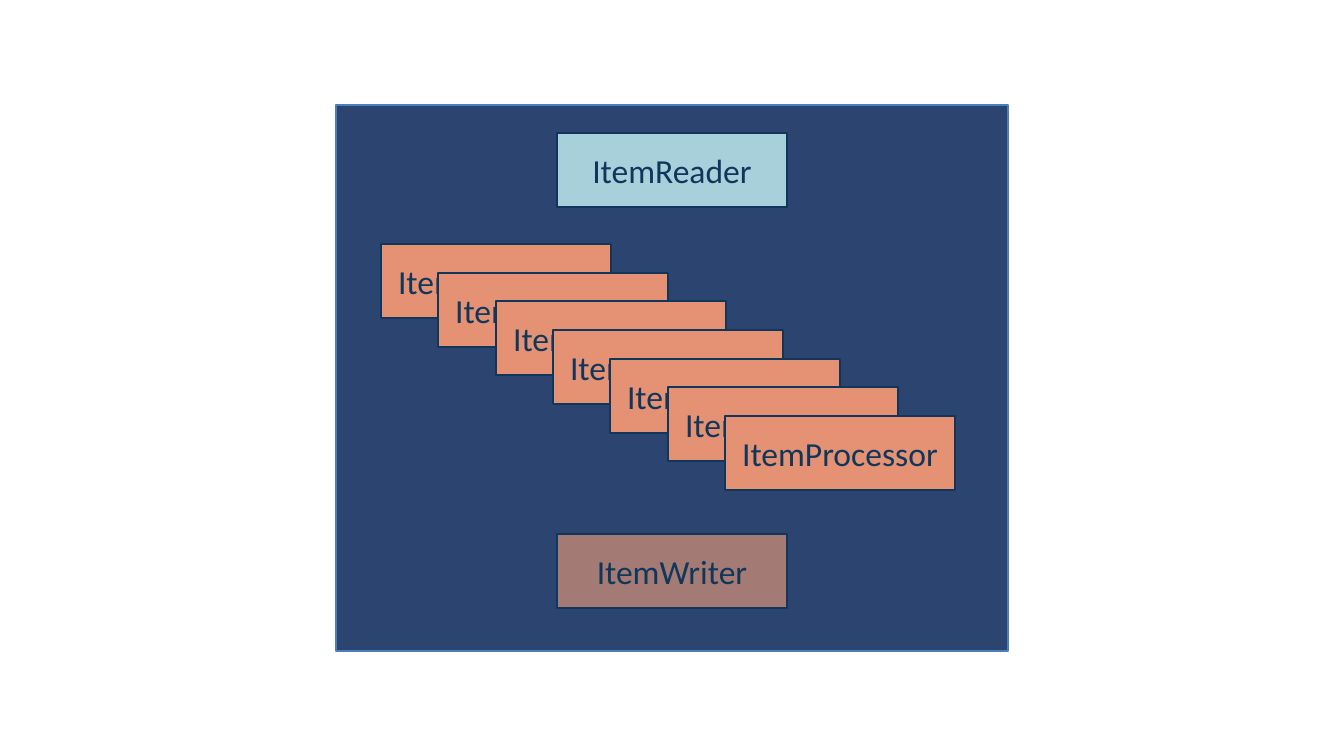
import dataclasses

import pptx
import pptx.dml.color
import pptx.enum.shapes
import pptx.enum.text
import pptx.util

SCALE = 914400 / 134.4
BOX_W, BOX_H = 230, 74
STEPS = 6


@dataclasses.dataclass(frozen=True)
class Theme:
    """Colours, font and sizes of the slide."""

    panel: str = "2B4570"
    edge: str = "4B7EBC"
    reader: str = "A8D0DB"
    worker: str = "E49273"
    writer: str = "A37A74"
    ink: str = "10375B"
    font: str = "Calibri"
    size: int = 18
    line: float = 0.75


THEME = Theme()


def px(count):
    """Turn whole px into EMU."""
    return pptx.util.Emu(round(count * SCALE))


def color(code):
    """Turn a hex code into a colour."""
    return pptx.dml.color.RGBColor.from_string(code)


def add_rect(slide, left, top, width, height, fill, edge):
    """Add a plain filled rectangle."""
    rect = slide.shapes.add_shape(
        pptx.enum.shapes.MSO_SHAPE.RECTANGLE,
        px(left), px(top), px(width), px(height),
    )
    rect.shadow.inherit = False
    rect.fill.solid()
    rect.fill.fore_color.rgb = color(fill)
    rect.line.color.rgb = color(edge)
    rect.line.width = pptx.util.Pt(THEME.line)
    return rect


def add_box(slide, label, left, top, fill):
    """Add a labelled box of the common size."""
    box = add_rect(slide, left, top, BOX_W, BOX_H, fill, THEME.ink)
    frame = box.text_frame
    frame.text = label
    frame.vertical_anchor = pptx.enum.text.MSO_ANCHOR.MIDDLE
    line = frame.paragraphs[0]
    line.alignment = pptx.enum.text.PP_ALIGN.CENTER
    font = line.runs[0].font
    font.name = THEME.font
    font.size = pptx.util.Pt(THEME.size)
    font.color.rgb = color(THEME.ink)


def add_stack(slide, label, start, end):
    """Add boxes in even steps from start to end."""
    for step in range(STEPS + 1):
        left, top = (
            round(a + (b - a) * step / STEPS) for a, b in zip(start, end)
        )
        add_box(slide, label, left, top, THEME.worker)


def main():
    """Build the slide and save it."""
    deck = pptx.Presentation()
    deck.slide_width, deck.slide_height = px(1344), px(756)
    slide = deck.slides.add_slide(deck.slide_layouts[6])
    add_rect(slide, 336, 105, 672, 546, THEME.panel, THEME.edge)
    add_box(slide, "ItemReader", 557, 133, THEME.reader)
    add_box(slide, "ItemWriter", 557, 534, THEME.writer)
    add_stack(slide, "ItemProcessor", (381, 244), (725, 416))
    deck.save("out.pptx")


if __name__ == "__main__":
    main()
